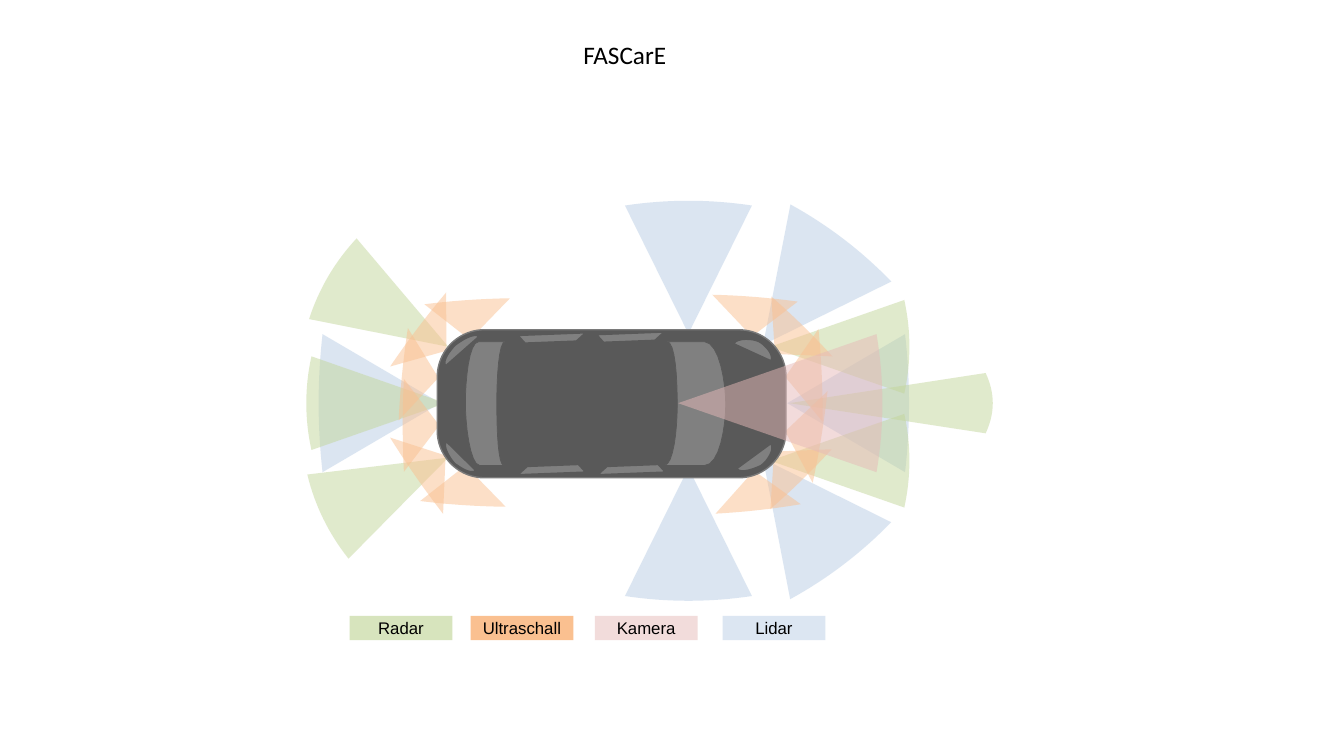
"""Draw the sensor coverage of a driver assistance car on one slide."""
from math import cos, radians, sin

from lxml.etree import SubElement
from pptx import Presentation
from pptx.dml.color import RGBColor
from pptx.enum.shapes import MSO_SHAPE as Preset
from pptx.enum.text import MSO_ANCHOR as Anchor, MSO_AUTO_SIZE as AutoSize, PP_ALIGN as Align
from pptx.oxml.ns import qn
from pptx.util import Cm, Pt

THEME = {
    "lidar": "B9CDE5", "radar": "C3D69B", "ultrasound": "FAC090", "camera": "E6B9B8",
    "body": "595959", "body_edge": "7A7A7A", "glass": "808080", "text": "000000",
    "legend_radar": "D7E4BD", "legend_ultrasound": "FAC090",
    "legend_camera": "F2DCDB", "legend_lidar": "DCE6F2",
    "title_font": "Calibri", "title_size": 18, "legend_font": "Arial", "legend_size": 12,
}


def draw_outline(shapes, points):
    corners = [(Cm(x), Cm(y)) for x, y in points]
    builder = shapes.build_freeform(*corners[0])
    builder.add_line_segments(corners[1:], close=True)
    return builder.convert_to_shape()


def paint(shape, fill, line=None, width=1, opacity=None):
    shape.shadow.inherit = False
    shape.fill.solid()
    shape.fill.fore_color.rgb = RGBColor.from_string(THEME[fill])
    if opacity:
        color = shape.fill._xPr.find(qn("a:solidFill"))[0]
        SubElement(color, qn("a:alpha"), val=str(opacity * 1000))
    if line:
        shape.line.color.rgb = RGBColor.from_string(THEME[line])
        shape.line.width = Pt(width)
    else:
        shape.line.fill.background()


presentation = Presentation()
presentation.slide_width, presentation.slide_height = Cm(33.87), Cm(19.05)
slide = presentation.slides.add_slide(presentation.slide_layouts[6])
sensors = slide.shapes.add_group_shape().shapes
car = slide.shapes.add_group_shape().shapes
legend = slide.shapes.add_group_shape().shapes

CONES = [
    (sensors, "lidar", 3.23, 1.6, 0.12, [
        (17.35, 8.41, 180), (19.23, 8.69, 217.4), (19.23, 11.56, 322.7), (17.35, 11.79, 0)]),
    (sensors, "lidar", 2.97, 1.74, 0.1, [(19.84, 10.16, 270), (11.1, 10.16, 90)]),
    (sensors, "radar", 3.38, 1.18, 0.13, [
        (19.41, 8.74, 270), (19.41, 11.61, 270), (11.3, 8.74, 120.5),
        (11.3, 11.53, 63.9), (11.23, 10.16, 90)]),
    (sensors, "radar", 4.95, 0.76, 0.18, [(19.89, 10.16, 270)]),
    (sensors, "ultrasound", 0.97, 1.08, 0.03, [
        (11.84, 8.56, 176), (11.73, 11.73, 3.8), (18.95, 8.48, 184.6),
        (19.53, 8.92, 224.4), (19.51, 11.38, 315.7), (19, 11.86, 353.7)]),
    (sensors, "ultrasound", 0.89, 1.17, 0.03, [
        (11.25, 8.84, 127.1), (11.05, 9.52, 95.7), (11.07, 10.72, 90),
        (11.23, 11.48, 55.2), (19.79, 9.5, 267.4), (19.79, 10.87, 279.2)]),
    (slide.shapes, "camera", 5, 1.74, 0.15, [(17.09, 10.16, 270)]),
]
ARC_STEPS = [step / 8 for step in range(-8, 9)]
for shapes, sensor, reach, half_width, bulge, mounts in CONES:
    for x, y, angle in mounts:
        sine, cosine = sin(radians(angle)), cos(radians(angle))
        arc = [(half_width * step, reach + bulge * (1 - step ** 2)) for step in ARC_STEPS]
        rim = [(x + side * cosine - depth * sine, y + side * sine + depth * cosine)
               for side, depth in arc]
        paint(draw_outline(shapes, [(x, y)] + rim), sensor, opacity=50)

body = car.add_shape(Preset.ROUNDED_RECTANGLE, Cm(11.02), Cm(8.31), Cm(8.79), Cm(3.73))
body.adjustments[0] = 0.319
paint(body, "body", "body_edge")

WINDSHIELD = [
    (17.75, 8.61), [(18.14, 8.64), (18.29, 9.68), (18.29, 10.19)],
    [(18.29, 10.72), (18.14, 11.73), (17.75, 11.73)], [(16.74, 11.73)],
    [(16.97, 11.73), (17.07, 10.85), (17.07, 10.19)],
    [(17.07, 9.53), (17.02, 8.61), (16.81, 8.61)]]
REAR_WINDOW = [
    (12.09, 11.73), [(11.84, 11.71), (11.73, 10.67), (11.73, 10.16)],
    [(11.73, 9.63), (11.81, 8.61), (12.07, 8.61)], [(12.73, 8.61)],
    [(12.57, 8.61), (12.52, 9.5), (12.52, 10.16)],
    [(12.52, 10.82), (12.55, 11.73), (12.7, 11.73)]]
LIGHTS = [
    [(19.43, 11.18), [(19.53, 11.33), (19.33, 11.63), (19.18, 11.73)],
     [(19.02, 11.81), (18.67, 11.94), (18.57, 11.81)]],
    [(18.49, 8.66), [(18.59, 8.51), (18.97, 8.53), (19.13, 8.61)],
     [(19.28, 8.69), (19.51, 8.94), (19.43, 9.09)]],
    [(11.23, 9.22), [(11.15, 9.07), (11.35, 8.84), (11.46, 8.71)],
     [(11.61, 8.59), (11.94, 8.38), (12.07, 8.48)]],
    [(11.99, 11.86), [(11.84, 11.96), (11.58, 11.76), (11.46, 11.68)],
     [(11.35, 11.56), (11.15, 11.25), (11.25, 11.13)]],
]
CURVE_STEPS = [step / 8 for step in range(1, 9)]
for width, panes in ((0.5, [WINDSHIELD, REAR_WINDOW]), (1, LIGHTS)):
    for start, *segments in panes:
        points = [start]
        for segment in segments:
            if len(segment) == 1:
                points += segment
                continue
            curve = [points[-1]] + segment
            for t in CURVE_STEPS:
                weights = ((1 - t) ** 3, 3 * t * (1 - t) ** 2, 3 * t ** 2 * (1 - t), t ** 3)
                points.append(tuple(sum(weight * point[axis] for weight, point in zip(weights, curve))
                                    for axis in (0, 1)))
        paint(draw_outline(car, points), "glass", "body", width)

for left, top, angle in ((15.37, 11.28, 47.8), (13.36, 11.28, 47.8),
                         (15.34, 7.75, 227.8), (13.36, 7.77, 227.8)):
    side_window = car.add_shape(Preset.DIAGONAL_STRIPE, Cm(left), Cm(top), Cm(1.09), Cm(1.3))
    side_window.adjustments[0] = 0.762
    side_window.rotation = angle
    paint(side_window, "glass", "body")

labels = []
for left, name, fill in ((8.81, "Radar", "legend_radar"), (11.86, "Ultraschall", "legend_ultrasound"),
                         (14.99, "Kamera", "legend_camera"), (18.21, "Lidar", "legend_lidar")):
    key = legend.add_shape(Preset.RECTANGLE, Cm(left), Cm(15.52), Cm(2.59), Cm(0.61))
    paint(key, fill)
    labels.append((key, name, "legend", Align.CENTER, {
        "vertical_anchor": Anchor.MIDDLE, "word_wrap": True,
        "margin_left": 0, "margin_right": 0, "margin_top": 0, "margin_bottom": 0}))

title = slide.shapes.add_textbox(Cm(14.45), Cm(0.86), Cm(2.62), Cm(1.02))
labels.append((title, "FASCarE", "title", Align.LEFT, {
    "word_wrap": False, "auto_size": AutoSize.SHAPE_TO_FIT_TEXT}))

for shape, text, role, alignment, frame_format in labels:
    for attribute, value in frame_format.items():
        setattr(shape.text_frame, attribute, value)
    paragraph = shape.text_frame.paragraphs[0]
    paragraph.alignment = alignment
    run = paragraph.add_run()
    run.text = text
    run.font.color.rgb = RGBColor.from_string(THEME["text"])
    font_format = {"name": THEME[role + "_font"], "size": Pt(THEME[role + "_size"])}
    for attribute, value in font_format.items():
        setattr(run.font, attribute, value)

presentation.save("out.pptx")
